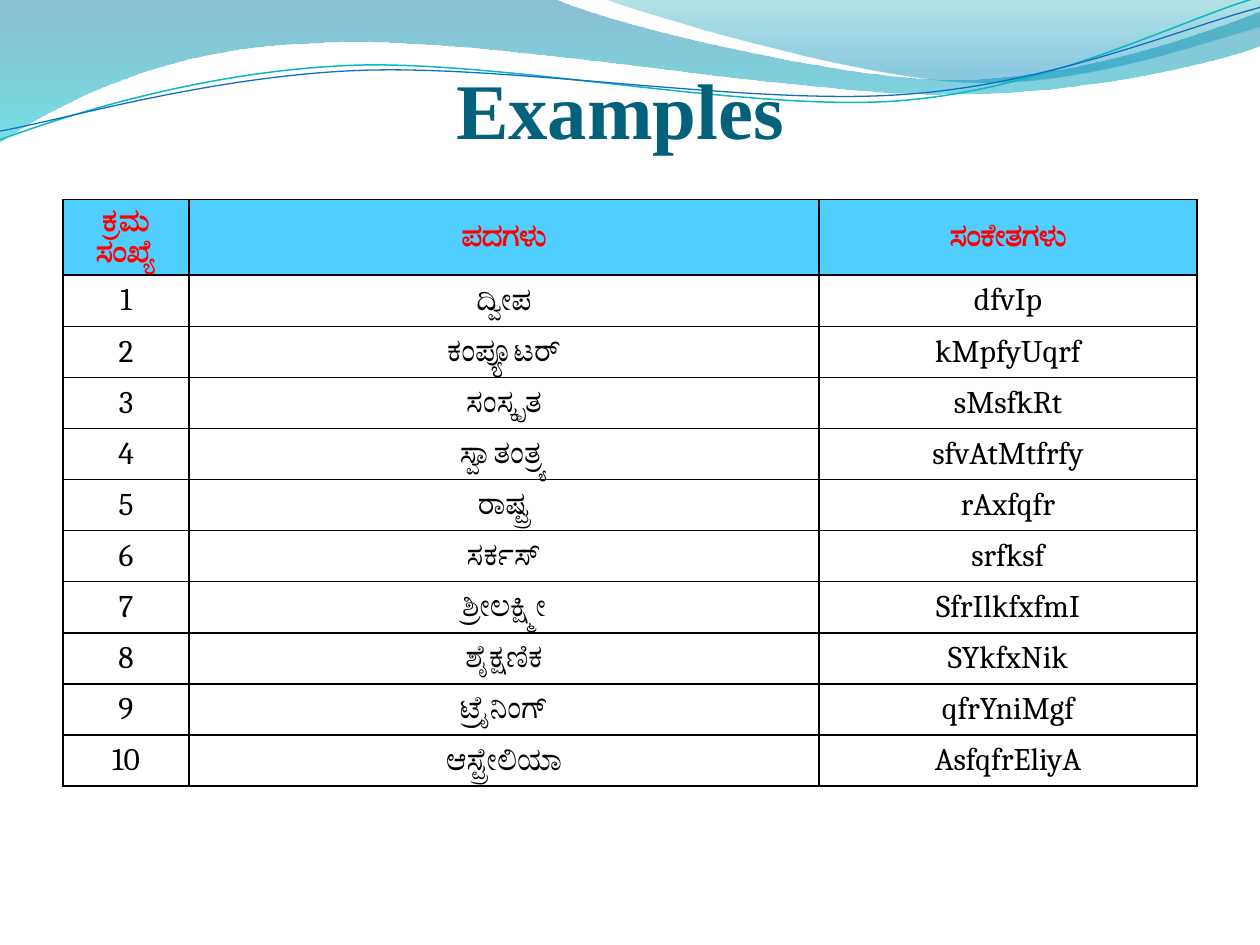
import dataclasses
import math

import lxml.etree
import pptx
import pptx.dml.color
import pptx.enum.text
import pptx.oxml
import pptx.oxml.ns
import pptx.util

Pt = pptx.util.Pt
qn = pptx.oxml.ns.qn
CENTER = pptx.enum.text.PP_ALIGN.CENTER
MIDDLE = pptx.enum.text.MSO_ANCHOR.MIDDLE


@dataclasses.dataclass(frozen=True)
class Theme:
    title: str = "04617B"
    header_text: str = "FF0000"
    header_fill: str = "4FCEFF"
    text: str = "000000"
    border: str = "000000"
    teal_line: str = "0AB8BF"
    blue_line: str = "0F6FC6"
    # Gradient stops: position, colour, opacity in percent
    wide_wave: tuple = ((0, "0074A1", 45), (100, "00C6CF", 55))
    corner_wave: tuple = ((0, "00A1A9", 30), (80, "008BBF", 45))
    title_font: str = "Times New Roman"
    table_font: str = "Cambria"
    title_size: float = 45
    table_size: float = 18


THEME = Theme()

# Outlines in points: a pair is a corner, six numbers are a Bézier curve.
WIDE_WAVE = [
    (0, 0), (316.8, -0.7),
    (342.7, 12.2, 478.1, 45.4, 545.8, 45.4),
    (614.2, 45.4, 689.8, 18.7, 720, 6.5),
    (720.7, 25.9),
    (707.8, 31.7, 626.4, 54.7, 537.1, 54),
    (447.8, 54, 275, 20.2, 185, 24.5),
    (92.9, 25.9, 33.1, 59.8, -0.7, 81.4),
    (0, 0),
]
CORNER_WAVE = [
    (344.9, -0.7),
    (366.5, 7.9, 491, 44.6, 553.7, 46.8),
    (616.3, 49.7, 691.9, 23, 720, 15.1),
    (720, 0), (344.9, -0.7),
]
TEAL_CURVE = [
    (0, 79.9),
    (34.6, 67, 113.8, 41, 199.4, 37.4),
    (284.4, 33.8, 427, 64.1, 513.4, 57.6),
    (599.8, 51.1, 675.4, 10.8, 718.6, -1.4),
]
BLUE_CURVE = [
    (0, 74.9),
    (33.8, 69.1, 118.1, 43.9, 203.8, 40.3),
    (290.2, 36.7, 429.8, 60.5, 516.2, 54),
    (601.9, 48.2, 677.5, 15.1, 720, 4.3),
]
CURVE_TILT = -2.7

HEADINGS = ("ಕ್ರಮ ಸಂಖ್ಯೆ", "ಪದಗಳು", "ಸಂಕೇತಗಳು")
WORD_CODES = [
    ("ದ್ವೀಪ", "dfvIp"),
    ("ಕಂಪ್ಯೂಟರ್", "kMpfyUqrf"),
    ("ಸಂಸ್ಕೃತ", "sMsfkRt"),
    ("ಸ್ವಾತಂತ್ರ್ಯ", "sfvAtMtfrfy"),
    ("ರಾಷ್ಟ್ರ", "rAxfqfr"),
    ("ಸರ್ಕಸ್", "srfksf"),
    ("ಶ್ರೀಲಕ್ಷ್ಮೀ", "SfrIlkfxfmI"),
    ("ಶೈಕ್ಷಣಿಕ", "SYkfxNik"),
    ("ಟ್ರೈನಿಂಗ್", "qfrYniMgf"),
    ("ಆಸ್ಟ್ರೇಲಿಯಾ", "AsfqfrEliyA"),
]
COLUMN_WIDTHS = (72, 360, 216)
ROW_HEIGHT = 29.2


def rgb(value):
    return pptx.dml.color.RGBColor.from_string(value)


def turn(outline, degrees, center):
    """Rotate every point of an outline clockwise about the center."""
    cosine, sine = math.cos(math.radians(degrees)), math.sin(math.radians(degrees))
    turned = []
    for segment in outline:
        values = []
        for x, y in zip(segment[::2], segment[1::2]):
            across, down = x - center[0], y - center[1]
            values += [center[0] + across * cosine - down * sine,
                       center[1] + across * sine + down * cosine]
        turned.append(tuple(values))
    return turned


def add_outline(shapes, outline, close):
    """Add a freeform whose six-number segments become Bézier curves."""
    points = [(Pt(x), Pt(y)) for segment in outline
              for x, y in zip(segment[::2], segment[1::2])]
    builder = shapes.build_freeform(*points[0])
    builder.add_line_segments(points[1:], close=close)
    shape = builder.convert_to_shape()
    shape.shadow.inherit = False
    steps = iter(list(shape._element.iter(qn("a:lnTo"))))
    for segment in outline[1:]:
        step = next(steps)
        if len(segment) == 6:
            step.tag = qn("a:cubicBezTo")
            for _ in range(2):
                control = next(steps)
                step.append(control[0])
                control.getparent().remove(control)
    return shape


def add_wave(page, outline, stops):
    """Add a closed shape with a see-through gradient running downwards."""
    shape = add_outline(page.shapes, outline, True)
    shape.line.fill.background()
    shape.fill.gradient()
    gradient = shape._element.spPr.find(qn("a:gradFill"))
    stop_xml = "".join(
        f'<a:gs pos="{position * 1000}"><a:srgbClr val="{color}">'
        f'<a:alpha val="{opacity * 1000}"/></a:srgbClr></a:gs>'
        for position, color, opacity in stops)
    replacement = pptx.oxml.parse_xml(
        f'<a:gradFill {pptx.oxml.ns.nsdecls("a")} rotWithShape="1"><a:gsLst>{stop_xml}'
        '</a:gsLst><a:lin ang="5400000" scaled="0"/></a:gradFill>')
    gradient.getparent().replace(gradient, replacement)


def add_curve(group, outline, center, color, width):
    """Add an open line as a level outline tilted about its center."""
    shape = add_outline(group.shapes, turn(outline, -CURVE_TILT, center), False)
    shape.rotation = CURVE_TILT
    shape.fill.background()
    shape.line.color.rgb = rgb(color)
    shape.line.width = Pt(width)


def format_font(font, name, size, color, bold):
    font.name = name
    font.size = Pt(size)
    font.color.rgb = rgb(color)
    font.bold = bold


def set_title(page, text):
    title = page.shapes.title
    title.left, title.top, title.width, title.height = Pt(36), Pt(30), Pt(648), Pt(60)
    frame = title.text_frame
    frame.text = text
    frame.vertical_anchor = MIDDLE
    frame.margin_left = frame.margin_right = frame.margin_bottom = 0
    frame.margin_top = Pt(3.6)
    para = frame.paragraphs[0]
    para.alignment = CENTER
    format_font(para.runs[0].font, THEME.title_font, THEME.title_size, THEME.title, True)
    # Bring the title in front of the waves
    page.shapes._spTree.append(title._element)


def add_borders(cell):
    properties = cell._tc.get_or_add_tcPr()
    for index, side in enumerate(("lnL", "lnR", "lnT", "lnB")):
        properties.insert(index, pptx.oxml.parse_xml(
            f'<a:{side} {pptx.oxml.ns.nsdecls("a")} w="{Pt(1)}"><a:solidFill>'
            f'<a:srgbClr val="{THEME.border}"/></a:solidFill></a:{side}>'))


def fill_cell(cell, text, header):
    cell.text_frame.text = text
    cell.vertical_anchor = MIDDLE
    if header:
        cell.fill.solid()
        cell.fill.fore_color.rgb = rgb(THEME.header_fill)
    else:
        cell.fill.background()
    add_borders(cell)
    para = cell.text_frame.paragraphs[0]
    para.alignment = CENTER
    color = THEME.header_text if header else THEME.text
    format_font(para.runs[0].font, THEME.table_font, THEME.table_size, color, header)


def add_word_table(page):
    rows = [HEADINGS]
    rows += [(str(number), *pair) for number, pair in enumerate(WORD_CODES, 1)]
    table = page.shapes.add_table(
        len(rows), len(HEADINGS), Pt(36), Pt(114),
        Pt(sum(COLUMN_WIDTHS)), Pt(ROW_HEIGHT * len(rows))).table
    table.first_row = table.horz_banding = False
    for column, width in zip(table.columns, COLUMN_WIDTHS):
        column.width = Pt(width)
    for index, texts in enumerate(rows):
        table.rows[index].height = Pt(ROW_HEIGHT)
        for cell, text in zip(table.rows[index].cells, texts):
            fill_cell(cell, text, index == 0)


def main():
    deck = pptx.Presentation()
    deck.slide_width, deck.slide_height = Pt(720), Pt(540)
    page = deck.slides.add_slide(deck.slide_layouts[5])
    add_wave(page, WIDE_WAVE, THEME.wide_wave)
    add_wave(page, CORNER_WAVE, THEME.corner_wave)
    curves = page.shapes.add_group_shape()
    add_curve(curves, TEAL_CURVE, (359.3, 41.4), THEME.teal_line, 0.85)
    add_curve(curves, BLUE_CURVE, (359.6, 42.5), THEME.blue_line, 0.75)
    set_title(page, "Examples ")
    add_word_table(page)
    deck.save("out.pptx")


if __name__ == "__main__":
    main()
